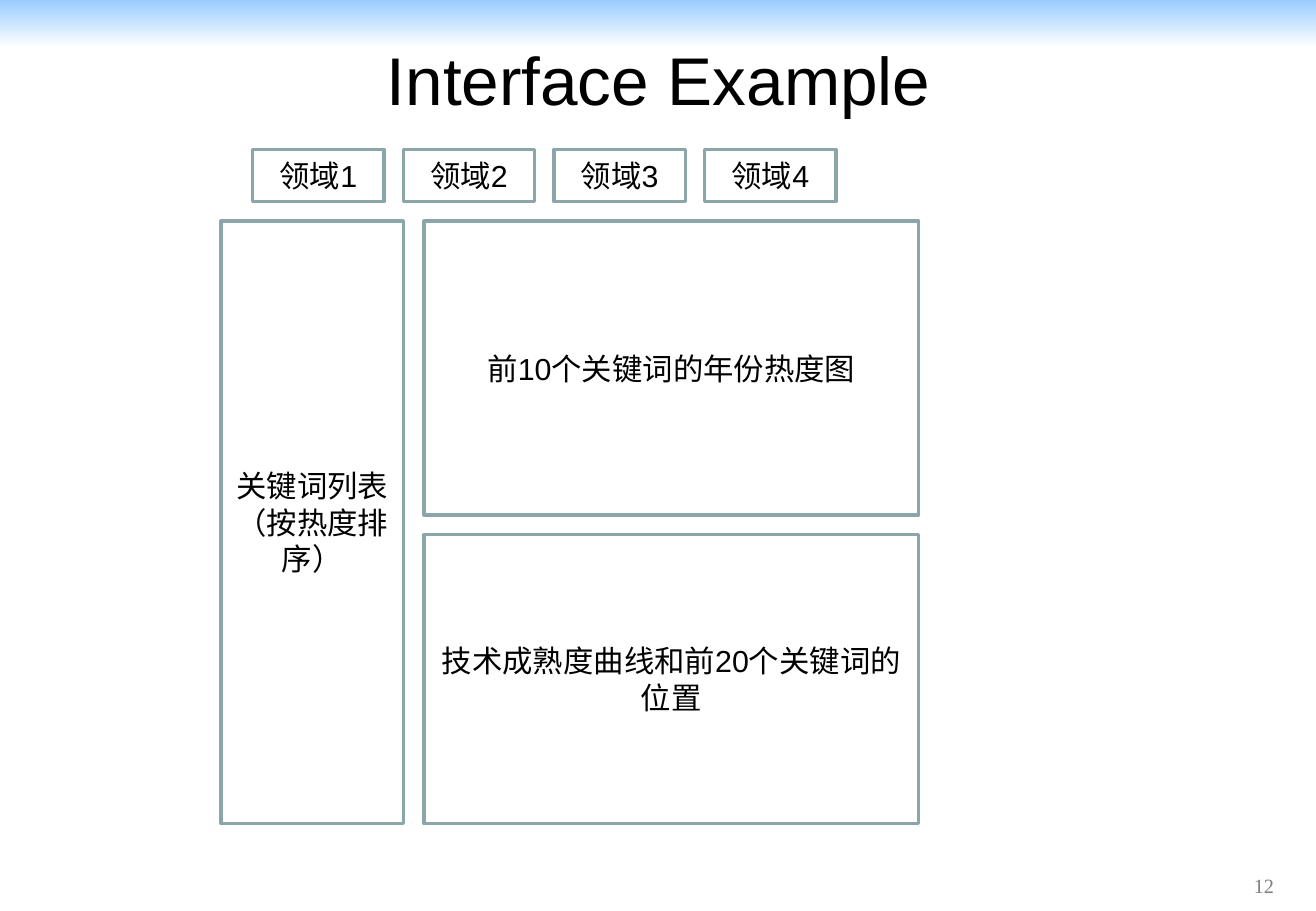
from pptx import Presentation
from pptx.dml.color import RGBColor
from pptx.enum import shapes, text
from pptx.util import Inches, Pt

COLORS = {"sky": "99CCFF", "white": "FFFFFF", "frame": "8AA6A8",
          "ink": "000000", "number": "808080"}
TITLE = "Interface Example"
PAGE_NUMBER = "12"
FIELDS = ["领域1", "领域2", "领域3", "领域4"]
FIELD_LEFT, FIELD_TOP, FIELD_WIDTH, FIELD_HEIGHT = 2.08, 1.23, 1.08, 0.43
FIELD_STEP = 1.24
PANELS = [  # text, left, top, width, height
    ("关键词列表（按热度排序）", 1.82, 1.82, 1.5, 4.96),
    ("前10个关键词的年份热度图", 3.49, 1.82, 4.07, 2.42),
    ("技术成熟度曲线和前20个关键词的位置", 3.49, 4.4, 4.07, 2.38),
]


def color(name):
    return RGBColor.from_string(COLORS[name])


def write(shape, words, size, font="Arial", ink="ink", align=text.PP_ALIGN.CENTER):
    frame = shape.text_frame
    frame.word_wrap = True
    frame.vertical_anchor = text.MSO_ANCHOR.MIDDLE
    paragraph = frame.paragraphs[0]
    paragraph.alignment = align
    run = paragraph.add_run()
    run.text = words
    run.font.size = Pt(size)
    run.font.name = font
    run.font.color.rgb = color(ink)


def add_rectangle(slide, *box):
    shape = slide.shapes.add_shape(shapes.MSO_SHAPE.RECTANGLE, *map(Inches, box))
    shape.shadow.inherit = False
    return shape


def add_top_band(slide, width):
    band = add_rectangle(slide, 0, 0, width, 0.39)
    band.line.fill.background()
    band.fill.gradient()
    band.fill.gradient_angle = 270
    for stop, name in zip(band.fill.gradient_stops, ("sky", "white")):
        stop.color.rgb = color(name)


def add_panel(slide, words, *box):
    panel = add_rectangle(slide, *box)
    panel.fill.background()
    panel.line.color.rgb = color("frame")
    panel.line.width = Pt(2)
    write(panel, words, 18)


def main():
    presentation = Presentation()
    presentation.slide_width = Inches(10.83)
    presentation.slide_height = Inches(7.5)
    slide = presentation.slides.add_slide(presentation.slide_layouts[6])

    add_top_band(slide, 10.83)
    number = slide.shapes.add_textbox(*map(Inches, (10.22, 7.06, 0.6, 0.5 - 0.06)))
    number.top = Inches(7.09)
    number.height = Inches(0.4)
    write(number, PAGE_NUMBER, 12, "Times New Roman", "number", text.PP_ALIGN.LEFT)
    title = slide.shapes.add_textbox(*map(Inches, (0.3, 0.21, 10.24, 0.87)))
    write(title, TITLE, 40)

    for index, field in enumerate(FIELDS):
        left = FIELD_LEFT + index * FIELD_STEP
        add_panel(slide, field, left, FIELD_TOP, FIELD_WIDTH, FIELD_HEIGHT)
    for panel in PANELS:
        add_panel(slide, *panel)

    presentation.save("out.pptx")


if __name__ == "__main__":
    main()
